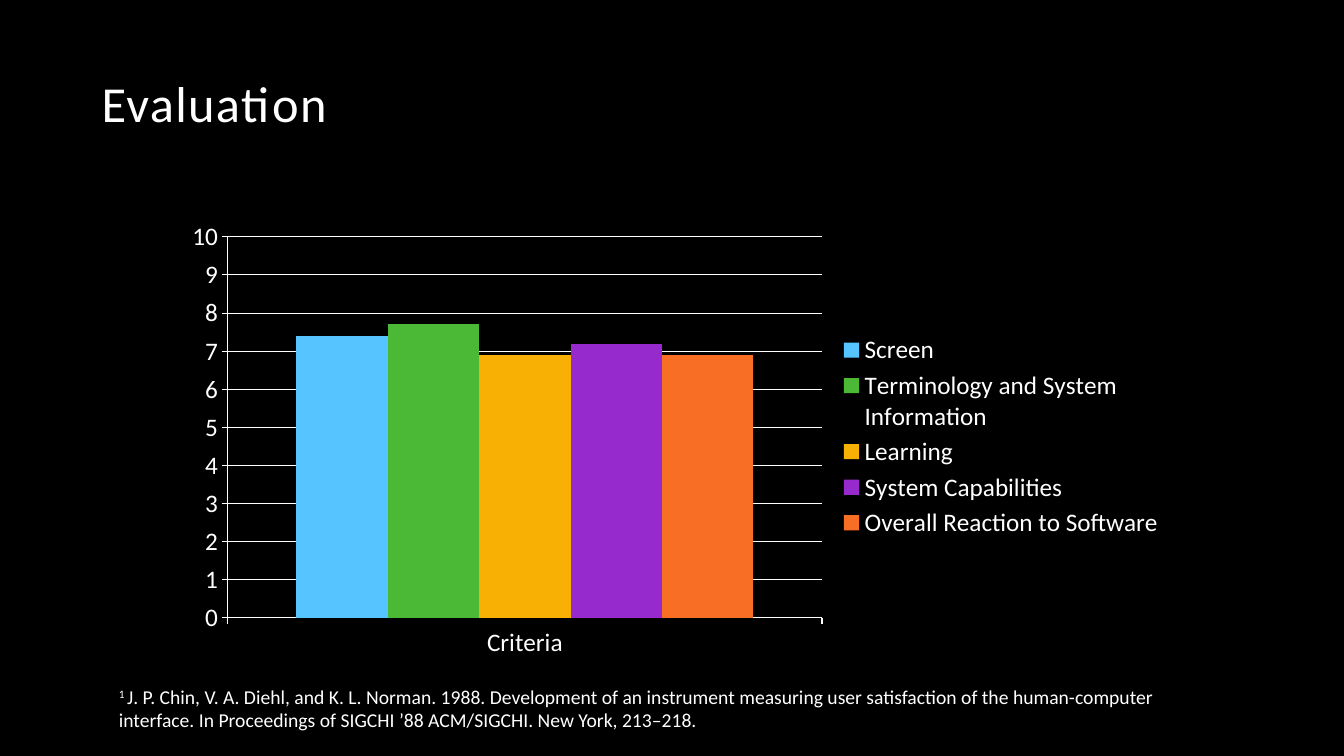
from lxml.etree import SubElement
from pptx import Presentation
from pptx.chart.data import CategoryChartData
from pptx.dml.color import RGBColor
from pptx.enum.chart import XL_CHART_TYPE, XL_LEGEND_POSITION, XL_TICK_MARK
from pptx.enum.text import MSO_ANCHOR
from pptx.oxml.ns import qn
from pptx.util import Inches, Pt

COLORS = {
    "background": "000000",
    "text": "FFFFFF",
    "blue": "56C5FF",
    "green": "4BB836",
    "yellow": "F8B004",
    "purple": "972ACD",
    "orange": "F86E24",
}

# Criterion, mean rating, bar colour
RATINGS = [
    ("Screen", 7.4, "blue"),
    ("Terminology and System Information", 7.7, "green"),
    ("Learning", 6.9, "yellow"),
    ("System Capabilities", 7.2, "purple"),
    ("Overall Reaction to Software", 6.9, "orange"),
]

CITATION = (
    "J. P. Chin, V. A. Diehl, and K. L. Norman. 1988. Development of an "
    "instrument measuring user satisfaction of the human-computer interface. "
    "In Proceedings of SIGCHI ’88 ACM/SIGCHI. New York, 213–218."
)


class SlideBuilder:
    """Holds the style and the current slide."""

    font_name = "Calibri"

    def __init__(self, slide):
        self.slide = slide
        slide.background.fill.solid()
        slide.background.fill.fore_color.rgb = self.color("background")

    def color(self, name):
        return RGBColor.from_string(COLORS[name])

    def style_font(self, font, size):
        font.name = self.font_name
        font.size = Pt(size)
        font.color.rgb = self.color("text")

    def text(self, box, content, size, anchor):
        frame = self.slide.shapes.add_textbox(*map(Inches, box)).text_frame
        frame.word_wrap = True
        frame.vertical_anchor = anchor
        frame.text = content
        self.style_font(frame.paragraphs[0].runs[0].font, size)
        return frame

    def style_axis(self, axis):
        axis.major_tick_mark = XL_TICK_MARK.OUTSIDE
        axis.minor_tick_mark = XL_TICK_MARK.NONE
        self.style_line(axis.format.line)
        self.style_font(axis.tick_labels.font, 18)

    def style_line(self, line):
        line.color.rgb = self.color("text")
        line.width = Pt(0.75)

    def column_chart(self, box, category, ratings, plot_area):
        data = CategoryChartData()
        data.categories = [category]
        for name, value, _ in ratings:
            data.add_series(name, [value])
        chart = self.slide.shapes.add_chart(
            XL_CHART_TYPE.COLUMN_CLUSTERED, *map(Inches, box), data
        ).chart
        chart.has_title = False
        self.style_font(chart.font, 18)

        # Bars
        plot = chart.plots[0]
        plot.gap_width = 150
        plot.overlap = 0
        plot.vary_by_categories = False
        for series, (_, _, color_name) in zip(plot.series, ratings):
            series.format.fill.solid()
            series.format.fill.fore_color.rgb = self.color(color_name)

        # Axes
        self.style_axis(chart.category_axis)
        value_axis = chart.value_axis
        self.style_axis(value_axis)
        value_axis.minimum_scale, value_axis.maximum_scale = 0, 10
        value_axis.major_unit = 1
        value_axis.has_major_gridlines = True
        self.style_line(value_axis.major_gridlines.format.line)

        # Legend
        chart.has_legend = True
        chart.legend.position = XL_LEGEND_POSITION.RIGHT
        chart.legend.include_in_layout = False
        self.style_font(chart.legend.font, 18)

        self.place_plot(chart, plot_area)

    def place_plot(self, chart, fractions):
        area = chart.plots[0]._element.getparent()
        layout = area.find(qn("c:layout"))
        if layout is None:
            layout = SubElement(area, qn("c:layout"))
            area.insert(0, layout)
        manual = SubElement(layout, qn("c:manualLayout"))
        settings = [("layoutTarget", "inner"), ("xMode", "edge"), ("yMode", "edge")]
        settings += zip("xywh", fractions)
        for tag, value in settings:
            SubElement(manual, qn(f"c:{tag}")).set("val", str(value))


def main():
    presentation = Presentation()
    presentation.slide_width = Inches(13.33)
    presentation.slide_height = Inches(7.5)
    builder = SlideBuilder(presentation.slides.add_slide(presentation.slide_layouts[6]))

    # Title, raised by its bottom inset
    title = builder.text((0.91, 0.42, 11.25, 1.5), "Evaluation", 36, MSO_ANCHOR.BOTTOM)
    title.margin_bottom = Inches(0.6)
    heading = title.paragraphs[0]
    heading.line_spacing = 0.9
    heading.runs[0].font._element.set("spc", "100")

    # Footnote with a superscript mark
    footnote = builder.text((1.08, 6.75, 10.92, 0.55), "1 ", 14, MSO_ANCHOR.MIDDLE)
    reference = footnote.paragraphs[0]
    reference.runs[0].font._element.set("baseline", "30000")
    citation = reference.add_run()
    citation.text = CITATION
    builder.style_font(citation.font, 14)

    # Ratings chart
    builder.column_chart(
        (1.66, 2.08, 9.99, 4.5), "Criteria", RATINGS, (0.06, 0.06, 0.59, 0.84)
    )

    presentation.save("out.pptx")


if __name__ == "__main__":
    main()
